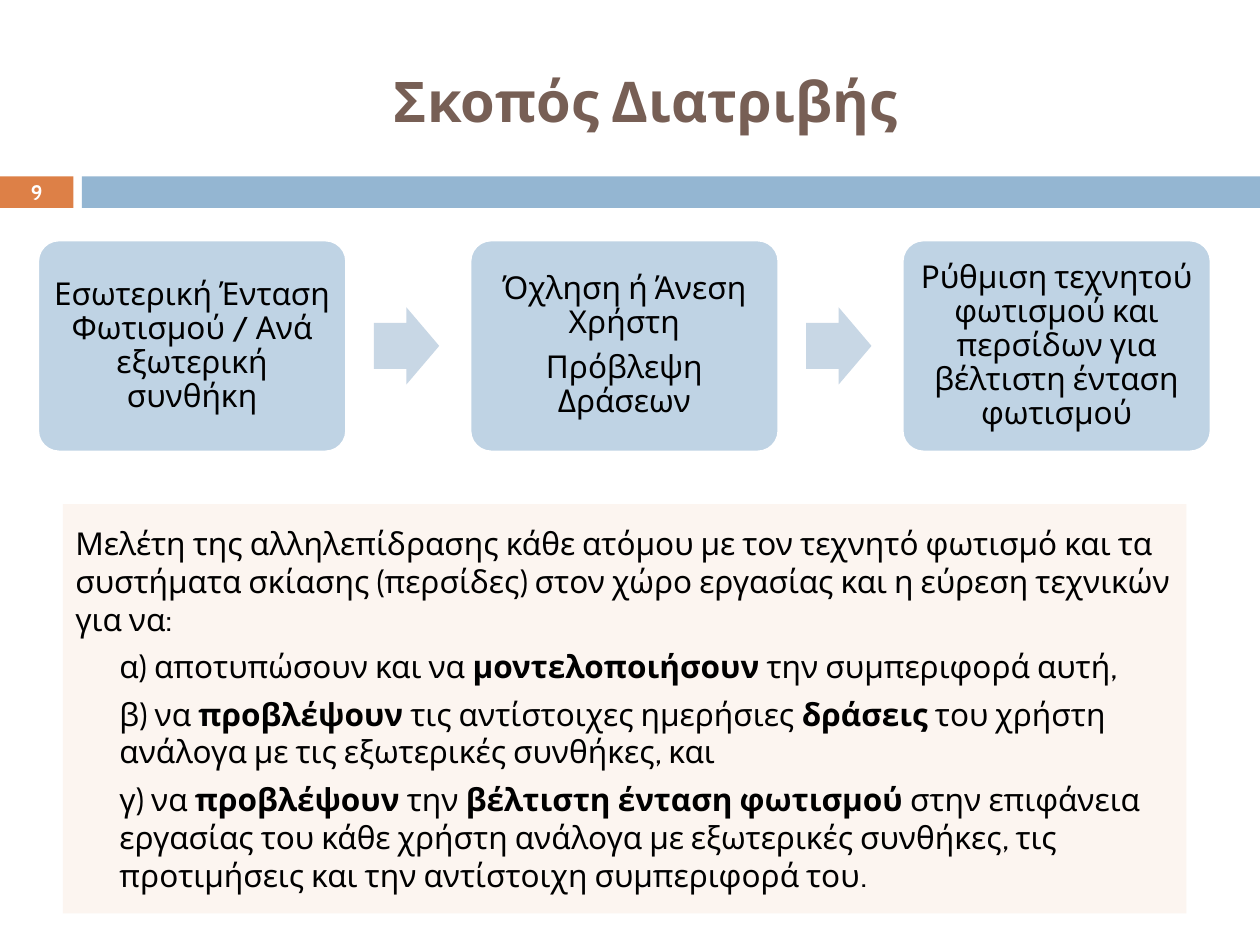
import pptx
import pptx.util
import pptx.dml.color
import pptx.enum.shapes
import pptx.enum.text
import pptx.oxml.ns
import lxml.etree

Pt = pptx.util.Pt
SHAPE = pptx.enum.shapes.MSO_SHAPE
ALIGN = pptx.enum.text.PP_ALIGN
FONT = "Cabin"
COLORS = {
    "title": "775F55", "text": "000000", "white": "FFFFFF",
    "number": "DD8047", "band": "94B6D2", "card": "BFD3E4",
    "arrow": "C8D7E5", "panel": "F8E6DA",
}

STEPS = [
    ["Εσωτερική Ένταση Φωτισμού / Ανά εξωτερική συνθήκη"],
    ["Όχληση ή Άνεση Χρήστη", "Πρόβλεψη Δράσεων"],
    ["Ρύθμιση τεχνητού φωτισμού και περσίδων για βέλτιστη ένταση φωτισμού"],
]
INTRO = ("Μελέτη της αλληλεπίδρασης κάθε ατόμου με τον τεχνητό φωτισμό και τα "
         "συστήματα σκίασης (περσίδες) στον χώρο εργασίας και η εύρεση τεχνικών για να:")
# Each goal alternates regular and bold runs
GOALS = [
    ["α) αποτυπώσουν και να ", "μοντελοποιήσουν", " την συμπεριφορά αυτή,"],
    ["β) να ", "προβλέψουν", " τις αντίστοιχες ημερήσιες ", "δράσεις",
     " του χρήστη ανάλογα με τις εξωτερικές συνθήκες, και"],
    ["γ) να ", "προβλέψουν", " την ", "βέλτιστη ένταση φωτισμού ",
     "στην επιφάνεια εργασίας του κάθε χρήστη ανάλογα με εξωτερικές συνθήκες, "
     "τις προτιμήσεις και την αντίστοιχη συμπεριφορά του."],
]


def rgb(name):
    return pptx.dml.color.RGBColor.from_string(COLORS[name])


def add_box(s, kind, x, y, w, h, fill, line=None):
    sp = s.shapes.add_shape(kind, Pt(x), Pt(y), Pt(w), Pt(h))
    sp.shadow.inherit = False
    sp.fill.solid()
    sp.fill.fore_color.rgb = rgb(fill)
    if line:
        sp.line.color.rgb = rgb(line)
        sp.line.width = Pt(1.5)
    else:
        sp.line.fill.background()
    return sp


def set_frame(sp, inset_x=7.2, inset_y=3.6):
    tf = sp.text_frame
    tf.word_wrap = True
    tf.vertical_anchor = pptx.enum.text.MSO_ANCHOR.MIDDLE
    tf.margin_left = tf.margin_right = Pt(inset_x)
    tf.margin_top = tf.margin_bottom = Pt(inset_y)
    return tf


def add_paragraph(tf, first, align):
    p = tf.paragraphs[0] if first else tf.add_paragraph()
    p.alignment = align
    return p


def add_run(p, text, size=18, color="text", bold=False):
    r = p.add_run()
    r.text = text
    r.font.name = FONT
    r.font.size = Pt(size)
    r.font.bold = bold
    r.font.color.rgb = rgb(color)


def add_title(s, x, y, w, h):
    sp = s.shapes.add_textbox(Pt(x), Pt(y), Pt(w), Pt(h))
    p = add_paragraph(set_frame(sp), True, ALIGN.CENTER)
    add_run(p, "Σκοπός Διατριβής", 32, "title", True)


def add_band(s, x, y, w, h):
    number_w, gap = 42, 4.8
    sp = add_box(s, SHAPE.RECTANGLE, x, y, number_w, h, "number")
    p = add_paragraph(set_frame(sp, inset_y=0), True, ALIGN.CENTER)
    add_run(p, "9", 12, "white", True)
    band_x = number_w + gap
    add_box(s, SHAPE.RECTANGLE, x + band_x, y, w - band_x, h, "band")


def add_flow(s, x, y, w, h):
    card_w, arrow_w, arrow_h = 176.4, 37.4, 44
    pitch = (w - card_w) / (len(STEPS) - 1)
    for i, step in enumerate(STEPS):
        card_x = x + i * pitch
        # Arrow from the previous card
        if i:
            arrow_x = card_x - (pitch - card_w + arrow_w) / 2 - 1
            sp = add_box(s, SHAPE.RIGHT_ARROW, arrow_x, y + (h - arrow_h) / 2,
                         arrow_w, arrow_h, "arrow")
            sp.adjustments[0], sp.adjustments[1] = 0.6, 0.5
        # Step card
        sp = add_box(s, SHAPE.ROUNDED_RECTANGLE, card_x, y, card_w, h, "card", "white")
        sp.adjustments[0] = 0.1
        tf = set_frame(sp, 5, 5)
        for j, text in enumerate(step):
            p = add_paragraph(tf, j == 0, ALIGN.CENTER)
            p.line_spacing = 0.9
            p.space_after = Pt(6.3)
            add_run(p, text)


def add_goals(s, x, y, w, h):
    sp = add_box(s, SHAPE.RECTANGLE, x, y, w, h, "panel")
    # Panel fill at 40 % opacity
    qn = pptx.oxml.ns.qn
    clr = sp.fill._xPr.find(qn("a:solidFill")).find(qn("a:srgbClr"))
    lxml.etree.SubElement(clr, qn("a:alpha"), val="40000")
    tf = set_frame(sp)
    p = add_paragraph(tf, True, ALIGN.LEFT)
    p.space_before = Pt(7)
    add_run(p, INTRO)
    for goal in GOALS:
        p = add_paragraph(tf, False, ALIGN.LEFT)
        p.level = 1
        p.space_before = Pt(5.5)
        pPr = p._p.get_or_add_pPr()
        pPr.set("marL", str(Pt(25.2)))
        pPr.set("indent", "0")
        for i, text in enumerate(goal):
            add_run(p, text, bold=i % 2 == 1)


def main():
    prs = pptx.Presentation()
    prs.slide_width, prs.slide_height = Pt(720), Pt(540)
    s = prs.slides.add_slide(prs.slide_layouts[6])
    add_band(s, 0, 100.8, 720, 18)
    add_title(s, 48, 18, 642, 78)
    add_goals(s, 36, 288, 642, 234)
    add_flow(s, 21.6, 137.2, 670.4, 121)
    prs.save("out.pptx")


if __name__ == "__main__":
    main()
